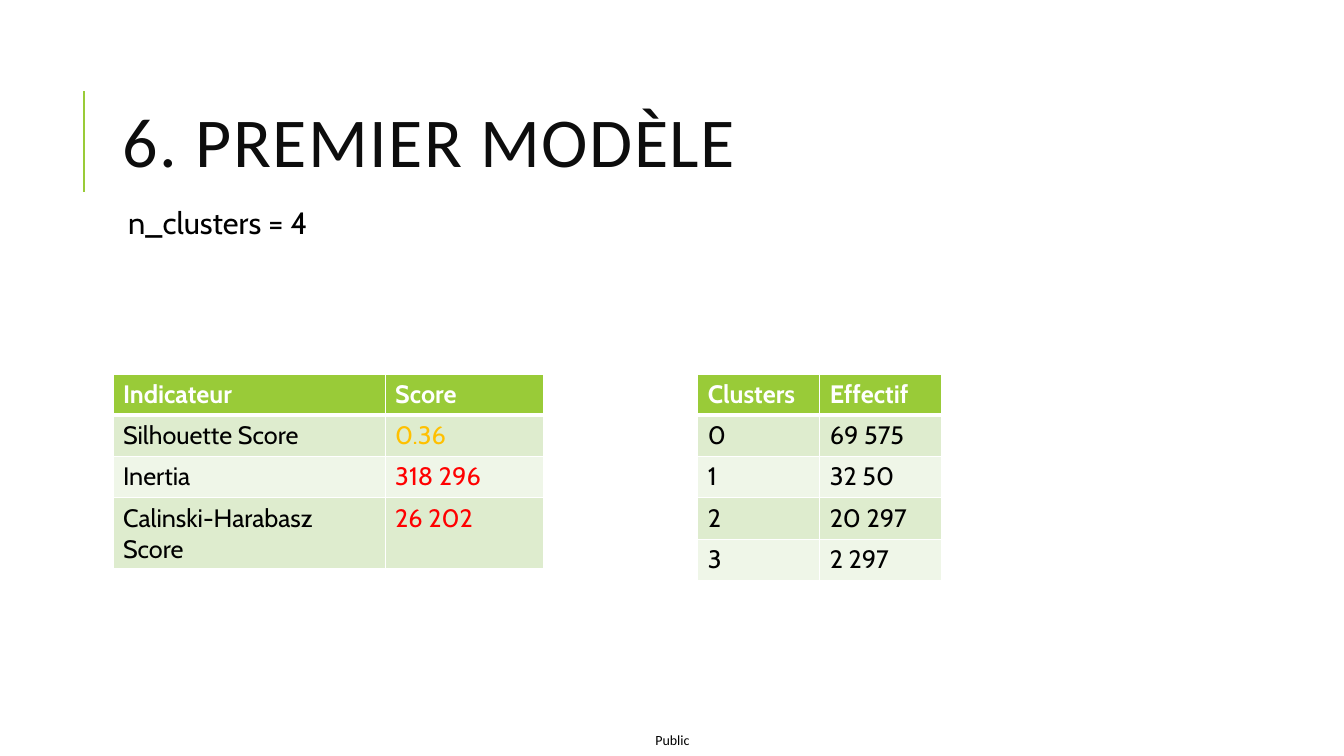
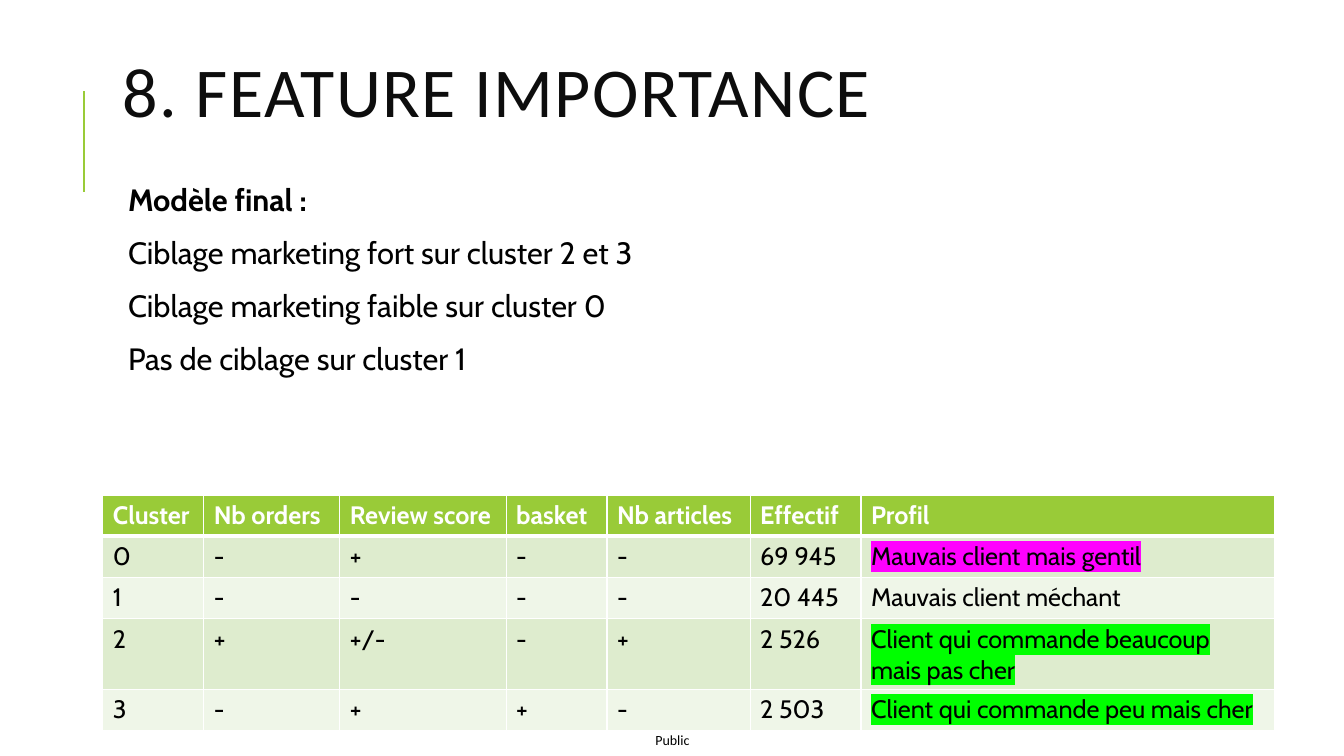
from dataclasses import dataclass

import lxml.etree
import pptx
import pptx.dml.color
import pptx.enum.shapes
import pptx.enum.text
import pptx.oxml.ns
import pptx.presentation
import pptx.shapes.autoshape
import pptx.slide
import pptx.table
import pptx.text.text
import pptx.util

# Scale: 100 px to the inch
EMU_PER_PX = 9144
SLIDE_WIDTH, SLIDE_HEIGHT = 1333, 750
CONTENT_LEFT = 112
ROW_HEIGHT = 41

# Shared look
RGBColor = pptx.dml.color.RGBColor
WHITE = RGBColor(0xFF, 0xFF, 0xFF)
BLACK = RGBColor(0x00, 0x00, 0x00)
TITLE_INK = RGBColor(0x0D, 0x0D, 0x0D)
GREEN = RGBColor(0x99, 0xCB, 0x38)
BAND_DARK = RGBColor(0xDE, 0xEC, 0xCE)
BAND_LIGHT = RGBColor(0xEF, 0xF6, 0xE8)
AMBER = RGBColor(0xFF, 0xC0, 0x00)
RED = RGBColor(0xFF, 0x00, 0x00)
MAGENTA = RGBColor(0xFF, 0x00, 0xFF)
LIME = RGBColor(0x00, 0xFF, 0x00)
HEADING_FONT, BODY_FONT = "Calibri", "Cabin"


@dataclass(frozen=True)
class Box:
    left: int
    top: int
    width: int
    height: int


@dataclass(frozen=True)
class Entry:
    text: str
    color: RGBColor = BLACK
    highlight: RGBColor | None = None


@dataclass(frozen=True)
class TableSpec:
    left: int
    top: int
    columns: tuple[int, ...]
    header: tuple[str, ...]
    rows: tuple[tuple[str | Entry, ...], ...]


@dataclass(frozen=True)
class SlideSpec:
    title: str
    title_top: int
    body: Box
    lines: tuple[str, ...]
    tables: tuple[TableSpec, ...]
    bold_lead: bool = False


SLIDES = (
    SlideSpec(
        "6. PREMIER MODÈLE", 64, Box(CONTENT_LEFT, 201, 1063, 489),
        ("n_clusters = 4",),
        (
            TableSpec(
                CONTENT_LEFT, 371, (270, 157), ("Indicateur", "Score"),
                (
                    ("Silhouette Score", Entry("0.36", AMBER)),
                    ("Inertia", Entry("318 296", RED)),
                    ("Calinski-Harabasz Score", Entry("26 202", RED)),
                ),
            ),
            TableSpec(
                692, 371, (121, 121), ("Clusters", "Effectif"),
                (("0", "69 575"), ("1", "32 50"), ("2", "20 297"), ("3", "2 297")),
            ),
        ),
    ),
    SlideSpec(
        "8. FEATURE IMPORTANCE", 15, Box(CONTENT_LEFT, 179, 1204, 440),
        (
            "Modèle final :",
            "Ciblage marketing fort sur cluster 2 et 3",
            "Ciblage marketing faible sur cluster 0",
            "Pas de ciblage sur cluster 1",
        ),
        (
            TableSpec(
                102, 491, (100, 135, 165, 100, 142, 110, 410),
                ("Cluster", "Nb orders", "Review score", "basket",
                 "Nb articles", "Effectif", "Profil"),
                (
                    ("0", "-", "+", "-", "-", "69 945",
                     Entry("Mauvais client mais gentil", highlight=MAGENTA)),
                    ("1", "-", "-", "-", "-", "20 445", "Mauvais client méchant"),
                    ("2", "+", "+/-", "-", "+", "2 526",
                     Entry("Client qui commande beaucoup mais pas cher", highlight=LIME)),
                    ("3", "-", "+", "+", "-", "2 503",
                     Entry("Client qui commande peu mais cher", highlight=LIME)),
                ),
            ),
        ),
        bold_lead=True,
    ),
)


def px(length: int) -> int:
    return pptx.util.Emu(length * EMU_PER_PX)


def add_child(parent: lxml.etree._Element, tag: str, **attributes: str) -> lxml.etree._Element:
    return lxml.etree.SubElement(parent, pptx.oxml.ns.qn(tag), attributes)


def format_paragraph(paragraph: pptx.text.text._Paragraph, font_name: str, size: int,
                     color: RGBColor, bold: bool = False) -> None:
    for run in paragraph.runs:
        run.font.name = font_name
        run.font.size = pptx.util.Pt(size)
        run.font.bold = bold
        run.font.color.rgb = color


def add_text_box(slide: pptx.slide.Slide, box: Box, text: str,
                 inset_x: int, inset_y: int) -> pptx.text.text.TextFrame:
    shape = slide.shapes.add_textbox(px(box.left), px(box.top), px(box.width), px(box.height))
    text_frame = shape.text_frame
    text_frame.margin_left = text_frame.margin_right = px(inset_x)
    text_frame.margin_top = text_frame.margin_bottom = px(inset_y)
    text_frame.word_wrap = True
    text_frame.text = text
    return text_frame


# Parts found on every slide
def add_accent_line(slide: pptx.slide.Slide) -> None:
    line = slide.shapes.add_connector(
        pptx.enum.shapes.MSO_CONNECTOR.STRAIGHT, px(83), px(190), px(83), px(90))
    line.line.color.rgb = GREEN
    line.line.width = pptx.util.Pt(1.5)
    add_child(line._element.spPr, "a:effectLst")


def add_footer(slide: pptx.slide.Slide) -> None:
    text_frame = add_text_box(slide, Box(650, 726, 37, 17), "Public", 0, 0)
    text_frame.word_wrap = False
    text_frame.auto_size = pptx.enum.text.MSO_AUTO_SIZE.SHAPE_TO_FIT_TEXT
    format_paragraph(text_frame.paragraphs[0], HEADING_FONT, 10, BLACK)


def add_title(slide: pptx.slide.Slide, text: str, top: int) -> None:
    text_frame = add_text_box(slide, Box(CONTENT_LEFT, top, 1063, 164), text, 10, 5)
    text_frame.vertical_anchor = pptx.enum.text.MSO_ANCHOR.MIDDLE
    paragraph = text_frame.paragraphs[0]
    paragraph.line_spacing = 0.8
    format_paragraph(paragraph, HEADING_FONT, 50, TITLE_INK)
    paragraph.runs[0].font._element.set("spc", "100")


def add_body(slide: pptx.slide.Slide, spec: SlideSpec) -> None:
    text_frame = add_text_box(slide, spec.body, "\n".join(spec.lines), 15, 5)
    for index, paragraph in enumerate(text_frame.paragraphs):
        paragraph.line_spacing = 0.9
        paragraph.space_before = pptx.util.Pt(12)
        paragraph.space_after = pptx.util.Pt(2)
        format_paragraph(paragraph, BODY_FONT, 22, BLACK, spec.bold_lead and index == 0)


# Tables
def set_borders(cell: pptx.table._Cell, top: int, bottom: int) -> None:
    properties = cell._tc.get_or_add_tcPr()
    for side, points in (("L", 1), ("R", 1), ("T", top), ("B", bottom)):
        line = add_child(properties, f"a:ln{side}", w=str(pptx.util.Pt(points)))
        add_child(add_child(line, "a:solidFill"), "a:srgbClr", val=str(WHITE))


def highlight_run(run: pptx.text.text._Run, color: RGBColor) -> None:
    properties = run.font._element
    highlight = add_child(properties, "a:highlight")
    add_child(highlight, "a:srgbClr", val=str(color))
    properties.find(pptx.oxml.ns.qn("a:solidFill")).addnext(highlight)


def fill_cell(cell: pptx.table._Cell, entry: Entry, row: int) -> None:
    is_header = row == 0
    set_borders(cell, top=3 if row == 1 else 1, bottom=3 if is_header else 1)
    cell.fill.solid()
    cell.fill.fore_color.rgb = GREEN if is_header else BAND_DARK if row % 2 else BAND_LIGHT
    cell.text_frame.text = entry.text
    paragraph = cell.text_frame.paragraphs[0]
    format_paragraph(paragraph, BODY_FONT, 18, entry.color, is_header)
    if entry.highlight is not None:
        highlight_run(paragraph.runs[0], entry.highlight)


def add_table(slide: pptx.slide.Slide, spec: TableSpec) -> None:
    header = tuple(Entry(text, WHITE) for text in spec.header)
    rows = (header, *spec.rows)
    table = slide.shapes.add_table(
        len(rows), len(spec.columns), px(spec.left), px(spec.top),
        px(sum(spec.columns)), px(ROW_HEIGHT * len(rows))).table
    for column, width in zip(table.columns, spec.columns):
        column.width = px(width)
    for row_index, row in enumerate(rows):
        table.rows[row_index].height = px(ROW_HEIGHT)
        for column_index, value in enumerate(row):
            entry = value if isinstance(value, Entry) else Entry(value)
            fill_cell(table.cell(row_index, column_index), entry, row_index)


def build_slide(presentation: pptx.presentation.Presentation, spec: SlideSpec) -> None:
    slide = presentation.slides.add_slide(presentation.slide_layouts[6])
    add_accent_line(slide)
    add_footer(slide)
    add_title(slide, spec.title, spec.title_top)
    add_body(slide, spec)
    for table_spec in spec.tables:
        add_table(slide, table_spec)


def main() -> None:
    presentation = pptx.Presentation()
    presentation.slide_width = px(SLIDE_WIDTH)
    presentation.slide_height = px(SLIDE_HEIGHT)
    for spec in SLIDES:
        build_slide(presentation, spec)
    presentation.save("out.pptx")


if __name__ == "__main__":
    main()
